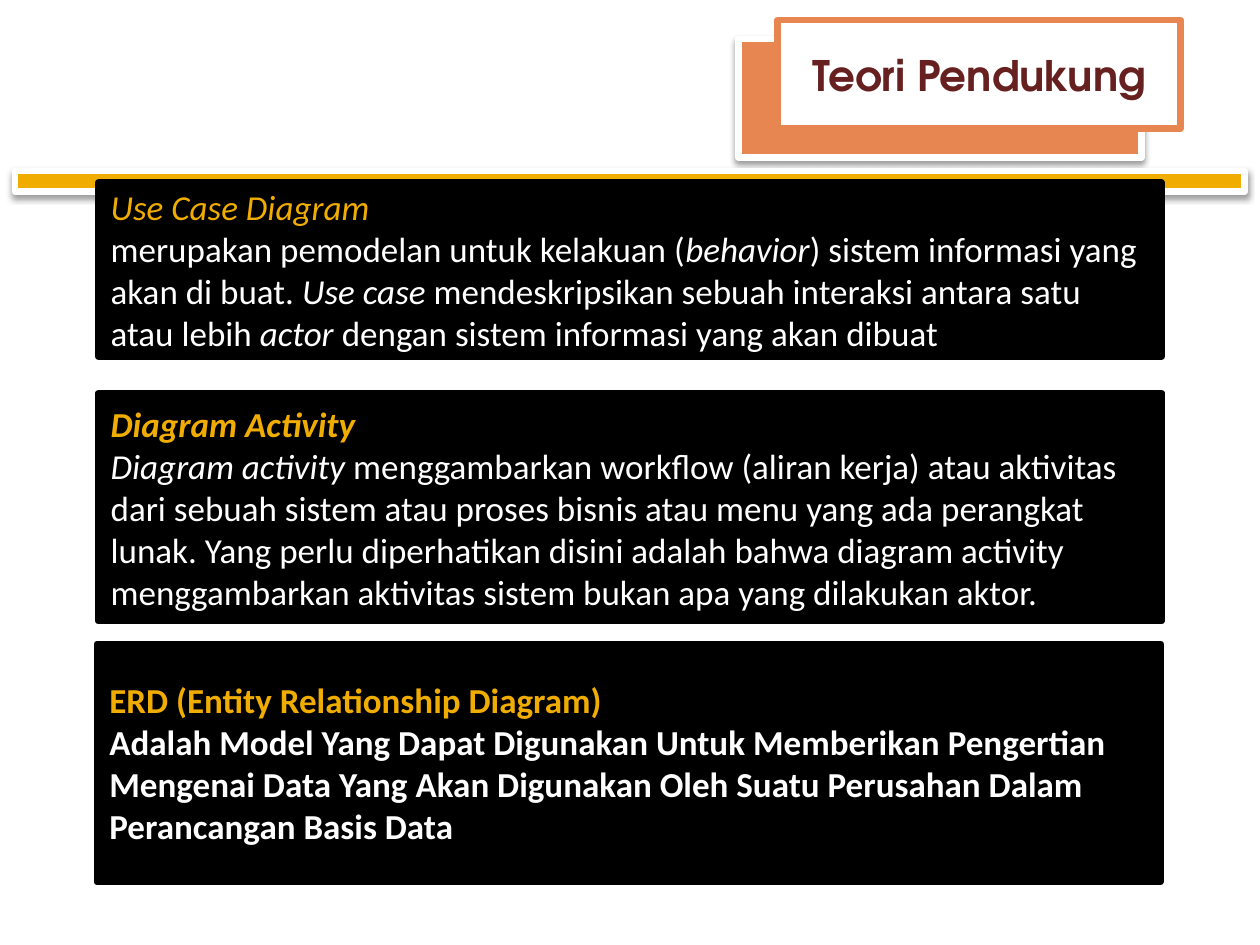
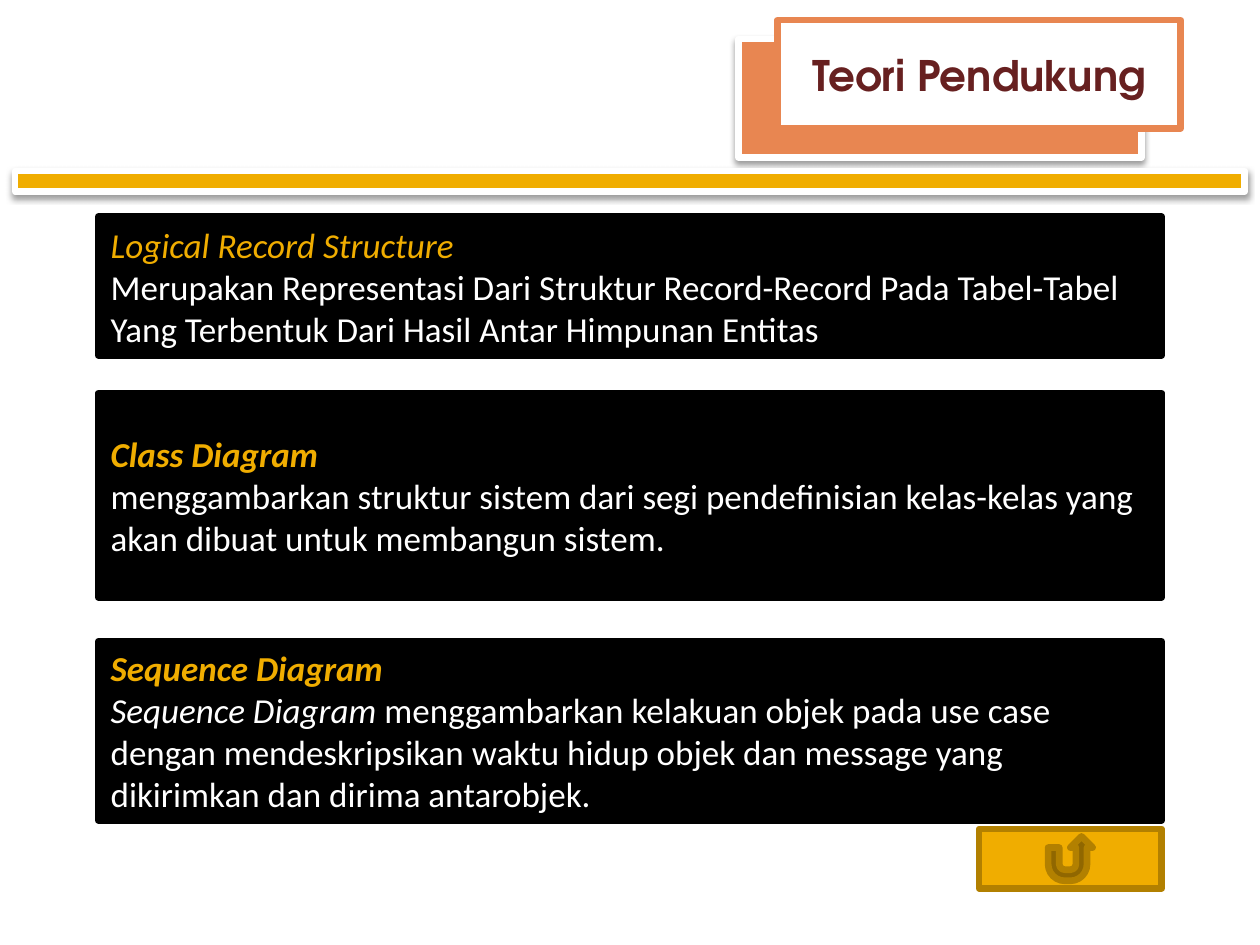
from dataclasses import dataclass

from lxml import etree
from pptx import Presentation
from pptx.dml.color import RGBColor
from pptx.enum.shapes import MSO_SHAPE
from pptx.enum.text import MSO_ANCHOR, PP_ALIGN
from pptx.oxml.ns import qn
from pptx.util import Inches, Pt

RECTANGLE = MSO_SHAPE.RECTANGLE
MINUS = MSO_SHAPE.MATH_MINUS
RETURN_BUTTON = MSO_SHAPE.ACTION_BUTTON_RETURN
MIDDLE = MSO_ANCHOR.MIDDLE
LEFT, CENTER = PP_ALIGN.LEFT, PP_ALIGN.CENTER


@dataclass(frozen=True)
class Theme:
    white: str = "FFFFFF"
    black: str = "000000"
    orange: str = "E88651"
    gold: str = "F0AD00"
    dark_gold: str = "B28000"
    maroon: str = "672020"
    title_font: str = "TeX Gyre Adventor"
    body_font: str = "Calibri"
    title_size: int = 24
    body_size: int = 20
    line_width: float = 3.8


THEME = Theme()


def add_box(page, kind, area, fill, line, shadow=False):
    """Add a shape at area (left, top, width, height in inches)."""
    box = page.shapes.add_shape(kind, *map(Inches, area))
    box.shadow.inherit = False
    box.fill.solid()
    box.fill.fore_color.rgb = RGBColor.from_string(fill)
    box.line.color.rgb = RGBColor.from_string(line)
    box.line.width = Pt(THEME.line_width)
    if shadow:
        effects = box.element.spPr.find(qn("a:effectLst"))
        outer = etree.SubElement(
            effects, qn("a:outerShdw"), blurRad=str(Pt(3.5)), dist=str(Pt(2)),
            dir="5400000", algn="ctr", rotWithShape="0")
        color = etree.SubElement(outer, qn("a:srgbClr"), val=THEME.black)
        etree.SubElement(color, qn("a:alpha"), val="38000")
    box.text_frame.word_wrap = True
    box.text_frame.vertical_anchor = MIDDLE
    return box


def add_span(para, text, color=THEME.white, font=THEME.body_font,
             size=THEME.body_size, bold=False, italic=False, align=LEFT):
    para.alignment = align
    span = para.add_run()
    span.text = text
    span.font.name = font
    span.font.size = Pt(size)
    span.font.bold = bold
    span.font.italic = italic
    span.font.color.rgb = RGBColor.from_string(color)


# Each card: left, top, height, heading, heading style, body paragraphs.
# A paragraph is a list of (text, style); style letters: b = bold, i = italic.
CARD_WIDTH = 8.44
PAGES = [
    [
        (0.78, 1.45, 1.38, "Use Case Diagram", "i", [[
            ("merupakan pemodelan untuk kelakuan (", ""),
            ("behavior", "i"),
            (") sistem informasi yang akan di buat. ", ""),
            ("Use case ", "i"),
            ("mendeskripsikan sebuah interaksi antara satu atau lebih ", ""),
            ("actor ", "i"),
            ("dengan sistem informasi yang akan dibuat", ""),
        ]]),
        (0.78, 3.12, 1.81, "Diagram Activity", "bi", [[
            ("Diagram activity ", "i"),
            ("menggambarkan workflow (aliran kerja) atau aktivitas dari sebuah "
             "sistem atau proses bisnis atau menu yang ada perangkat lunak. "
             "Yang perlu diperhatikan disini adalah bahwa diagram activity "
             "menggambarkan aktivitas sistem bukan apa yang dilakukan aktor.", ""),
        ]]),
        (0.77, 5.11, 1.89, "ERD (Entity Relationship Diagram)", "b", [
            [("Adalah Model Yang Dapat Digunakan Untuk Memberikan Pengertian", "b")],
            [("Mengenai Data Yang Akan Digunakan Oleh Suatu Perusahan Dalam "
              "Perancangan Basis Data", "b")],
        ]),
    ],
    [
        (0.78, 1.72, 1.1, "Logical Record Structure", "i", [[
            ("Merupakan Representasi Dari Struktur Record-Record Pada "
             "Tabel-Tabel Yang Terbentuk Dari Hasil Antar Himpunan Entitas", ""),
        ]]),
        (0.78, 3.12, 1.62, "Class Diagram", "bi", [[
            ("menggambarkan struktur sistem dari segi pendefinisian kelas-kelas "
             "yang akan dibuat untuk membangun sistem.", ""),
        ]]),
        (0.78, 5.09, 1.42, "Sequence Diagram", "bi", [[
            ("Sequence Diagram ", "i"),
            ("menggambarkan kelakuan objek pada use case dengan mendeskripsikan "
             "waktu hidup objek dan message yang dikirimkan dan dirima "
             "antarobjek.", ""),
        ]]),
    ],
]

deck = Presentation()
deck.slide_width = Inches(10)
deck.slide_height = Inches(7.5)
blank_layout = deck.slide_layouts[6]

for cards in PAGES:
    page = deck.slides.add_slide(blank_layout)

    add_box(page, RECTANGLE, (5.86, 0.31, 3.2, 0.94),
            THEME.orange, THEME.white, shadow=True)
    title_box = add_box(page, RECTANGLE, (6.17, 0.16, 3.2, 0.86),
                        THEME.white, THEME.orange)
    add_span(title_box.text_frame.paragraphs[0], "Teori Pendukung",
             color=THEME.maroon, font=THEME.title_font,
             size=THEME.title_size, bold=True, align=CENTER)
    add_box(page, MINUS, (-1.64, 1.09, 13.28, 0.7),
            THEME.gold, THEME.white, shadow=True)

    for left, top, height, heading, heading_style, body in cards:
        card = add_box(page, RECTANGLE, (left, top, CARD_WIDTH, height),
                       THEME.black, THEME.black)
        frame = card.text_frame
        add_span(frame.paragraphs[0], heading, color=THEME.gold,
                 bold="b" in heading_style, italic="i" in heading_style)
        for spans in body:
            para = frame.add_paragraph()
            for text, style in spans:
                add_span(para, text, bold="b" in style, italic="i" in style)

# The return button closes the last page.
add_box(page, RETURN_BUTTON, (7.77, 6.58, 1.45, 0.47),
        THEME.gold, THEME.dark_gold)

deck.save("out.pptx")
